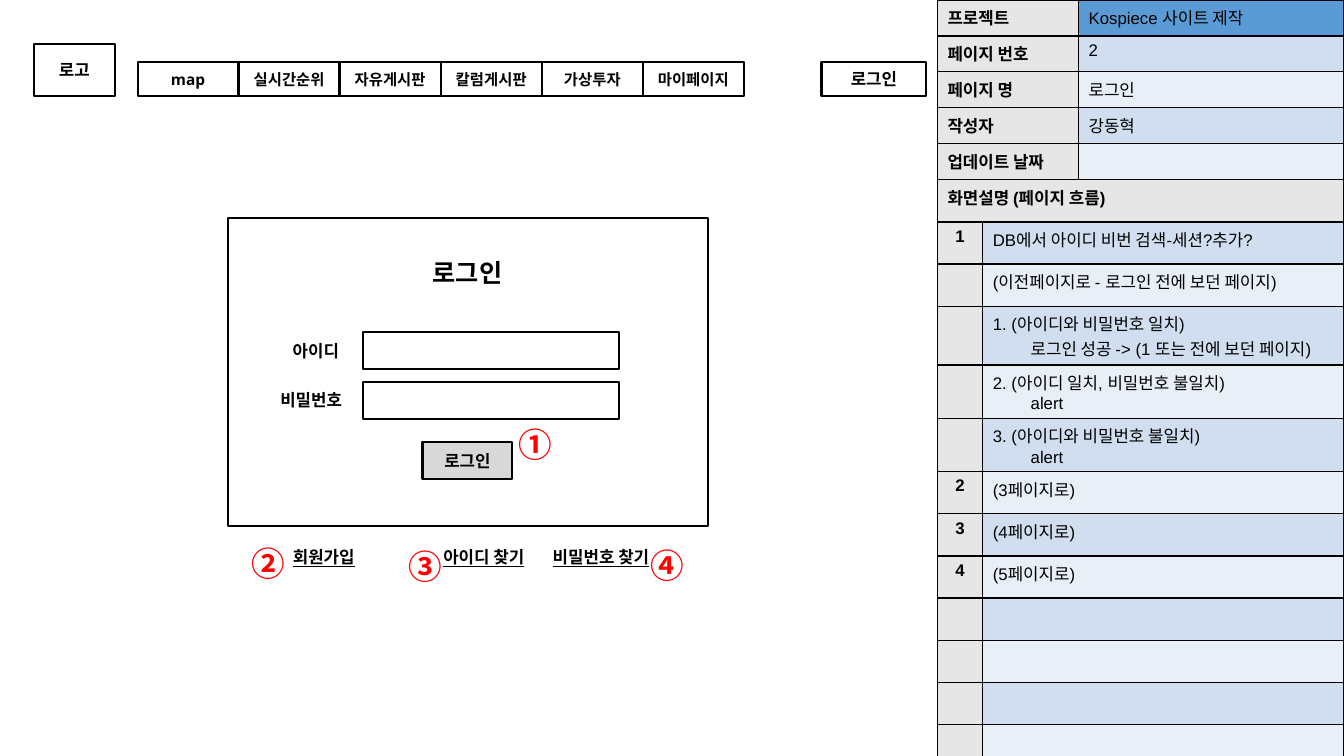
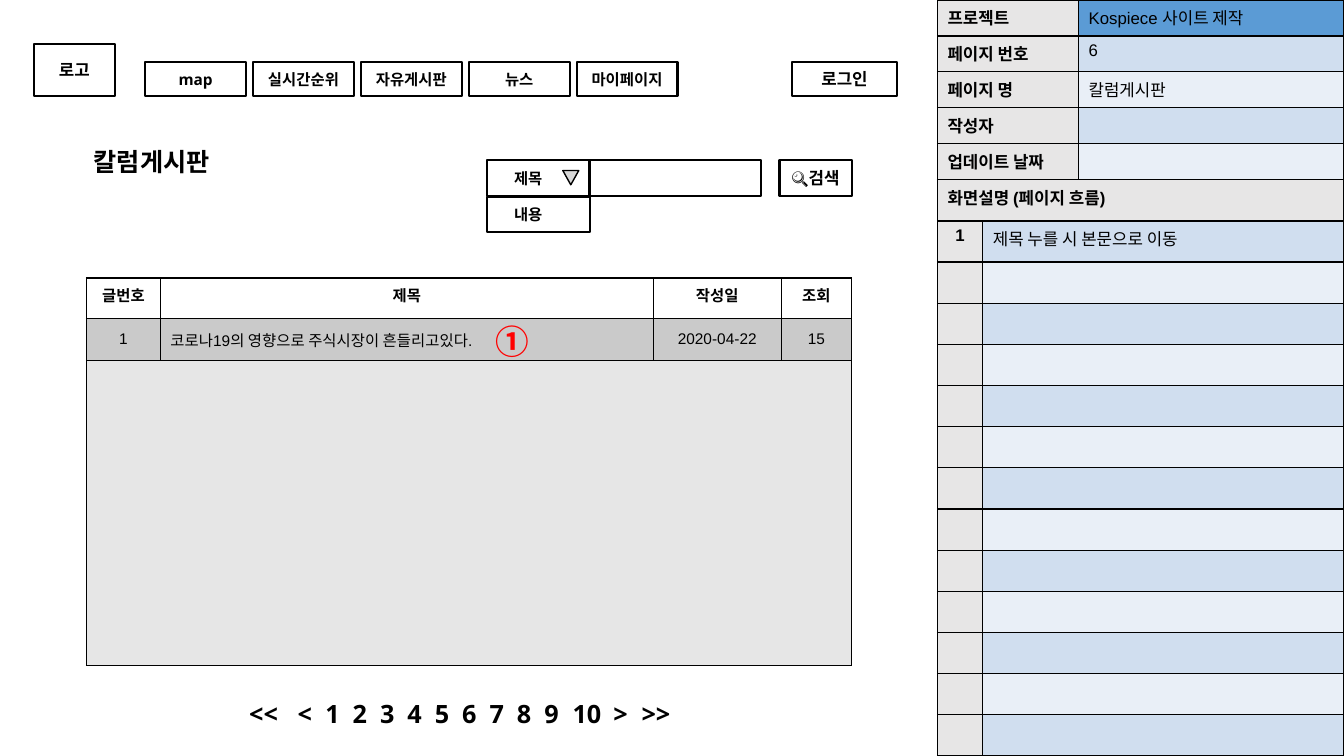
"""Builds two wireframe slides, each with a specification panel on the right."""
from lxml import etree
from pptx import Presentation
from pptx import util as u
from pptx.dml import color
from pptx.enum import shapes, text
from pptx.oxml import ns

hue = color.RGBColor.from_string
unit = u.Pt(6)
WIDE, HIGH = 160, 90
BLACK, GRAY, HEAD, RED = "000000", "D8D8D8", "E7E6E6", "FF0000"
BLUE, BANDS = "5B9BD5", ("D0DEEF", "E9EFF7")
KOREAN = "Noto Sans CJK KR"
SIDES = {"l": text.PP_ALIGN.LEFT, "c": text.PP_ALIGN.CENTER}


def write(frame, txt, size=12, font="Open Sans", ink=BLACK, bold=True,
          under=False, side="c", hang=0, tabs=()):
    """Fill a text frame; lines after the first are indented by hang columns."""
    for i, line in enumerate(txt.split("\n")):
        para = frame.add_paragraph() if i else frame.paragraphs[0]
        para.alignment = SIDES[side]
        prop = para._p.get_or_add_pPr()
        if i and hang:
            prop.set("marL", str(int(hang * unit)))
        if tabs:
            stops = etree.SubElement(prop, ns.qn("a:tabLst"))
            for stop in tabs:
                etree.SubElement(stops, ns.qn("a:tab"), pos=str(int(stop * unit)), algn="ctr")
        if not line:
            etree.SubElement(para._p, ns.qn("a:endParaRPr"), sz=str(size * 100))
            continue
        run = para.add_run()
        run.text = line
        run.font.size, run.font.name = u.Pt(size), font
        run.font.bold, run.font.underline = bold, under
        run.font.color.rgb = hue(ink)
        etree.SubElement(run._r.get_or_add_rPr(), ns.qn("a:ea"), typeface=KOREAN)


def grid(slide, left, top, cols, rows, cells):
    """Add a ruled table; a cell of None joins the cell on its left."""
    at = [int(n * unit) for n in (left, top, sum(cols), sum(rows))]
    table = slide.shapes.add_table(len(rows), len(cols), *at).table
    table.first_row = table.horz_banding = False
    for col, n in zip(table.columns, cols):
        col.width = int(n * unit)
    for row, n in zip(table.rows, rows):
        row.height = int(n * unit)
    for r, line in enumerate(cells):
        for c, item in enumerate(line):
            cell = table.cell(r, c)
            prop = cell._tc.get_or_add_tcPr()
            for tag in ("a:lnL", "a:lnR", "a:lnT", "a:lnB"):
                edge = etree.SubElement(prop, ns.qn(tag), w=str(u.Pt(1)))
                fill = etree.SubElement(edge, ns.qn("a:solidFill"))
                etree.SubElement(fill, ns.qn("a:srgbClr"), val=BLACK)
            if item is None:
                write(cell.text_frame, "")
                continue
            txt, back, form = item
            cell.fill.solid()
            cell.fill.fore_color.rgb = hue(back)
            form = dict(form)
            if form.pop("mid", False):
                cell.vertical_anchor = text.MSO_ANCHOR.MIDDLE
            write(cell.text_frame, txt, font="Arial", **form)
        for c in range(len(line) - 1, 0, -1):
            if line[c] is None and line[c - 1] is not None:
                last = max(k for k in range(c, len(line)) if line[k] is None)
                table.cell(r, c - 1).merge(table.cell(r, last))


LABELS = ["프로젝트", "페이지 번호", "페이지 명", "작성자", "업데이트 날짜"]
PANEL, SPLIT = 111.6, 21.4
mark = dict(size=24, font=KOREAN, ink=RED, side="l", top=True)
link = dict(under=True)
box = dict(edge=1.5)
pick = dict(edge=1.5, size=11, side="l", inset=3.2)

pages = [
    dict(
        title=("로그인", 44.8, 30.2),
        facts=["Kospiece 사이트 제작", "2", "로그인", "강동혁", ""],
        notes=[("1", "DB에서 아이디 비번 검색-세션?추가?"),
               ("", "(이전페이지로 - 로그인 전에 보던 페이지)"),
               ("", "1. (아이디와 비밀번호 일치)\n로그인 성공 -> (1 또는 전에 보던 페이지)"),
               ("", "2. (아이디 일치, 비밀번호 불일치)\nalert"),
               ("", "3. (아이디와 비밀번호 불일치)\nalert"),
               ("2", "(3페이지로)"), ("3", "(4페이지로)"), ("4", "(5페이지로)")],
        count=12, pitch=5.02,
        menu=["map", "실시간순위", "자유게시판", "칼럼게시판", "가상투자", "마이페이지"],
        start=16.4, step=12.03, login=97.8,
        parts=[(27.2, 26, 57.1, 36.6, "", box),
               (43.2, 39.5, 30.5, 4.4, "", box),
               (43.2, 45.5, 30.5, 4.4, "", box),
               (32.6, 39.5, 10, 4.4, "아이디", {}),
               (30.8, 45.4, 12.5, 4.4, "비밀번호", {}),
               (32.3, 64.1, 12.5, 4.4, "회원가입", link),
               (50.3, 64.1, 14.6, 4.4, "아이디 찾기", link),
               (63.7, 64.1, 15.7, 4.4, "비밀번호 찾기", link),
               (50.3, 52.6, 10.7, 4.4, "로그인", dict(edge=1.5, back=GRAY)),
               (60.5, 49.9, 7.2, 6, "①", mark),
               (28.8, 64.1, 7.2, 6, "②", mark),
               (47.4, 64.4, 7.2, 6, "③", mark),
               (76.3, 64.3, 7.2, 6, "④", mark)]),
    dict(
        title=("칼럼게시판", 7.2, 17),
        facts=["Kospiece 사이트 제작", "6", "칼럼게시판", "", ""],
        notes=[("1", "제목 누를 시 본문으로 이동")],
        count=13, pitch=4.9,
        menu=["map", "실시간순위", "자유게시판", "뉴스", "마이페이지"],
        start=17.3, step=12.84, login=94.3,
        board=[["글번호", "제목", "작성일", "조회"],
               ["1", "코로나19의 영향으로 주식시장이 흔들리고있다.", "2020-04-22", "15"]],
        parts=[(92.8, 19.1, 8.6, 4.2, "🔍검색", box),
               (58, 19.1, 12.2, 4.2, "제목", pick),
               (58, 23.4, 12.2, 4.2, "내용", pick),
               (67, 20.3, 1.9, 1.7, "", dict(edge=1, back=GRAY, turn=180)),
               (70.1, 19.1, 20.5, 4.2, "", box),
               (25.6, 82.7, 58.6, 4.4,
                "".join("\t" + s for s in ["<<", "<", *map(str, range(1, 11)), ">", ">>"]),
                dict(size=18, side="l",
                     tabs=[4.6, 9.5, *(12.8 + 3.26 * i for i in range(9)), 43.1, 47.1, 51.3])),
               (57.8, 37.6, 7.2, 6, "①", mark)]),
]

deck = Presentation()
deck.slide_width, deck.slide_height = WIDE * unit, HIGH * unit

for page in pages:
    slide = deck.slides.add_slide(deck.slide_layouts[5])
    name, left, top = page["title"]
    title = slide.shapes.title
    title.left, title.top, title.width, title.height = (
        int(n * unit) for n in (left, top, 21.7, 4.4))
    title.text_frame.vertical_anchor = text.MSO_ANCHOR.MIDDLE
    title.text_frame.auto_size = text.MSO_AUTO_SIZE.NONE
    write(title.text_frame, name, size=18)

    plain = dict(side="l", bold=False)
    cells = [[(label, HEAD, dict(side="l")),
              (fact, BANDS[(i + 1) % 2] if i else BLUE, plain)]
             for i, (label, fact) in enumerate(zip(LABELS, page["facts"]))]
    grid(slide, PANEL, 0, [16.8, 31.6], [SPLIT / 5] * 5, cells)

    notes = page["notes"] + [("", "")] * (page["count"] - len(page["notes"]))
    cells = [[("화면설명 (페이지 흐름)", HEAD, dict(side="l")), None]]
    cells += [[(num, HEAD, {}), (note, BANDS[i % 2], dict(plain, hang=4.5))]
              for i, (num, note) in enumerate(notes)]
    rows = [page["pitch"]] + [6.3 if "\n" in note else page["pitch"] for num, note in notes]
    grid(slide, PANEL, SPLIT, [5.4, 43], rows, cells)

    if "board" in page:
        head, post = page["board"]
        cells = [[(s, "FFFFFF", dict(size=11)) for s in head],
                 [(s, "CACACA", dict(size=11, bold=False, mid=True, side="l" if i == 1 else "c"))
                  for i, s in enumerate(post)],
                 [("", "E6E6E6", {}), None, None, None]]
        grid(slide, 10.3, 33.1, [8.8, 58.7, 15.2, 8.4], [4.8, 5, 36.3], cells)

    parts = [(4, 5.2, 9.7, 6.2, "로고", box), (page["login"], 7.4, 12.5, 4, "로그인", box)]
    parts += [(page["start"] + i * page["step"], 7.4, 12, 4, item, dict(edge=1.5, size=11))
              for i, item in enumerate(page["menu"])]
    for *at, txt, form in parts + page["parts"]:
        form = dict(form)
        edge, back, turn, high, inset = (
            form.pop(key, base) for key, base in
            (("edge", 0), ("back", None), ("turn", 0), ("top", False), ("inset", 1.2)))
        at = [int(n * unit) for n in at]
        if edge:
            kind = shapes.MSO_SHAPE.ISOSCELES_TRIANGLE if turn else shapes.MSO_SHAPE.RECTANGLE
            item = slide.shapes.add_shape(kind, *at)
            item.shadow.inherit = False
            item.rotation = turn
            item.line.color.rgb, item.line.width = hue(BLACK), u.Pt(edge)
            if back:
                item.fill.solid()
                item.fill.fore_color.rgb = hue(back)
            else:
                item.fill.background()
        else:
            item = slide.shapes.add_textbox(*at)
        if txt:
            frame = item.text_frame
            frame.word_wrap = True
            frame.vertical_anchor = text.MSO_ANCHOR.TOP if high else text.MSO_ANCHOR.MIDDLE
            frame.margin_left, frame.margin_right = int(inset * unit), int(1.2 * unit)
            frame.margin_top = frame.margin_bottom = int((0.6 if high else 1.2) * unit)
            write(frame, txt, **form)

deck.save("out.pptx")
